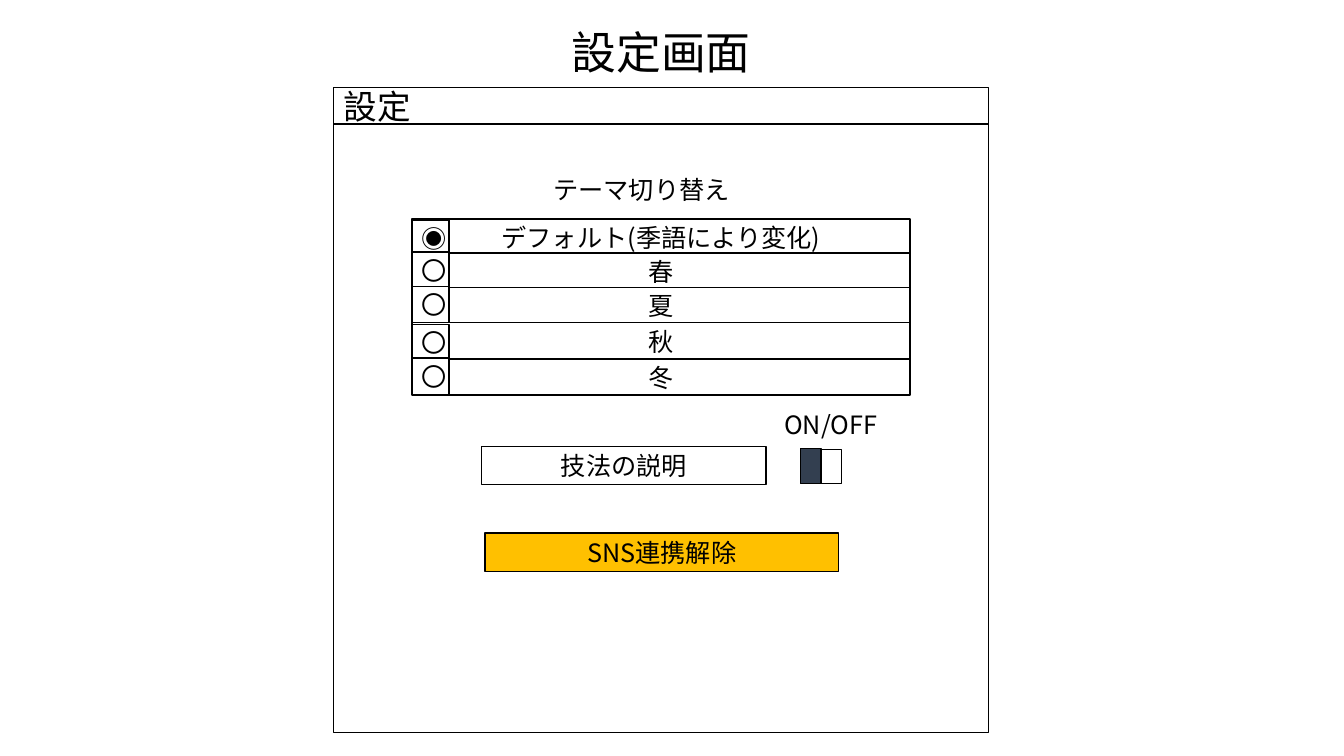
from lxml import etree
from pptx import Presentation
from pptx import util as u
from pptx.dml.color import RGBColor
from pptx.enum import shapes, text
from pptx.oxml.ns import qn

FONT = "Noto Sans CJK JP"
BLACK, WHITE, AMBER, SLATE = "000000", "FFFFFF", "FFC000", "333F50"
CENTER, LEFT = text.PP_ALIGN.CENTER, text.PP_ALIGN.LEFT
MIDDLE, TOP = text.MSO_ANCHOR.MIDDLE, text.MSO_ANCHOR.TOP
THEMES = [
    ("デフォルト(季語により変化)", "◉", 0, 0.7),
    ("春", "〇", 24.5, 23.8),
    ("夏", "〇", 49, 48.2),
    ("秋", "〇", 74.2, 75.6),
    ("冬", "〇", 100, 99.4),
]


def color(value):
    """Turn a hex string into a colour."""
    return RGBColor.from_string(value)


def write(shape, wording, size=18, align=CENTER, anchor=MIDDLE):
    """Put one paragraph of black text into a shape."""
    frame = shape.text_frame
    frame.word_wrap = True
    frame.vertical_anchor = anchor
    paragraph = frame.paragraphs[0]
    paragraph.text = wording
    paragraph.alignment = align
    paragraph.font.size = u.Pt(size)
    paragraph.font.name = FONT
    paragraph.font.color.rgb = color(BLACK)
    defaults = paragraph._p.pPr.find(qn("a:defRPr"))
    etree.SubElement(defaults, qn("a:ea"), typeface=FONT)
    return paragraph


def add_label(slide, box, wording, **style):
    """Add a text box."""
    shape = slide.shapes.add_textbox(*map(u.Pt, box))
    return write(shape, wording, **style)


def add_box(slide, box, wording="", fill=WHITE, outlined=True, **style):
    """Add a rectangle, with text if there is any."""
    shape = slide.shapes.add_shape(shapes.MSO_SHAPE.RECTANGLE, *map(u.Pt, box))
    shape.shadow.inherit = False
    shape.fill.solid()
    shape.fill.fore_color.rgb = color(fill)
    if outlined:
        shape.line.color.rgb = color(BLACK)
        shape.line.width = u.Pt(1)
    else:
        shape.line.fill.background()
    if wording:
        write(shape, wording, **style)


def add_theme_list(slide, left, top, width, row_height):
    """Draw the theme rows and then their radio buttons."""
    for name, _, name_top, _ in THEMES:
        add_box(slide, (left, top + name_top, width, row_height), name)
    for _, mark, _, mark_top in THEMES:
        add_box(slide, (left, top + mark_top, 26.6, row_height), mark)


def add_switch(slide, left, top, width, height):
    """Draw a two-part toggle switch."""
    half = width / 2
    add_box(slide, (left, top, half, height), fill=SLATE)
    add_box(slide, (left + half, top + 0.6, half, height - 0.6))


def add_settings_window(slide, left, top, width, height):
    """Draw the settings window with its header and controls."""
    header = 26
    add_box(slide, (left, top + header, width, height - header))
    add_box(slide, (left + 300, top + 213, 110, 55.4), "ON/OFF", outlined=False)
    add_box(slide, (left, top, width, header), "設定", size=24, align=LEFT)
    add_label(slide, (left + 149.8, top + 58.2, 167.8, 28.8), "テーマ切り替え",
              align=LEFT, anchor=TOP)
    add_theme_list(slide, left + 56, top + 93.7, 355.7, 26)
    add_box(slide, (left + 108, top + 318.2, 252.7, 27.4), "SNS連携解除", fill=AMBER)
    add_box(slide, (left + 105.8, top + 256.2, 203, 27.4), "技法の説明")
    add_switch(slide, left + 333.4, top + 257.8, 29.6, 25.2)


def main():
    """Build and save the slide."""
    presentation = Presentation()
    presentation.slide_width, presentation.slide_height = u.Pt(960), u.Pt(540)
    slide = presentation.slides.add_slide(presentation.slide_layouts[6])
    title = add_label(slide, (80.6, 15.8, 783.4, 46.8), "設定画面", size=32)
    title.line_spacing = 0.9
    add_settings_window(slide, 238.3, 62.6, 468, 460.8)
    presentation.save("out.pptx")


if __name__ == "__main__":
    main()
